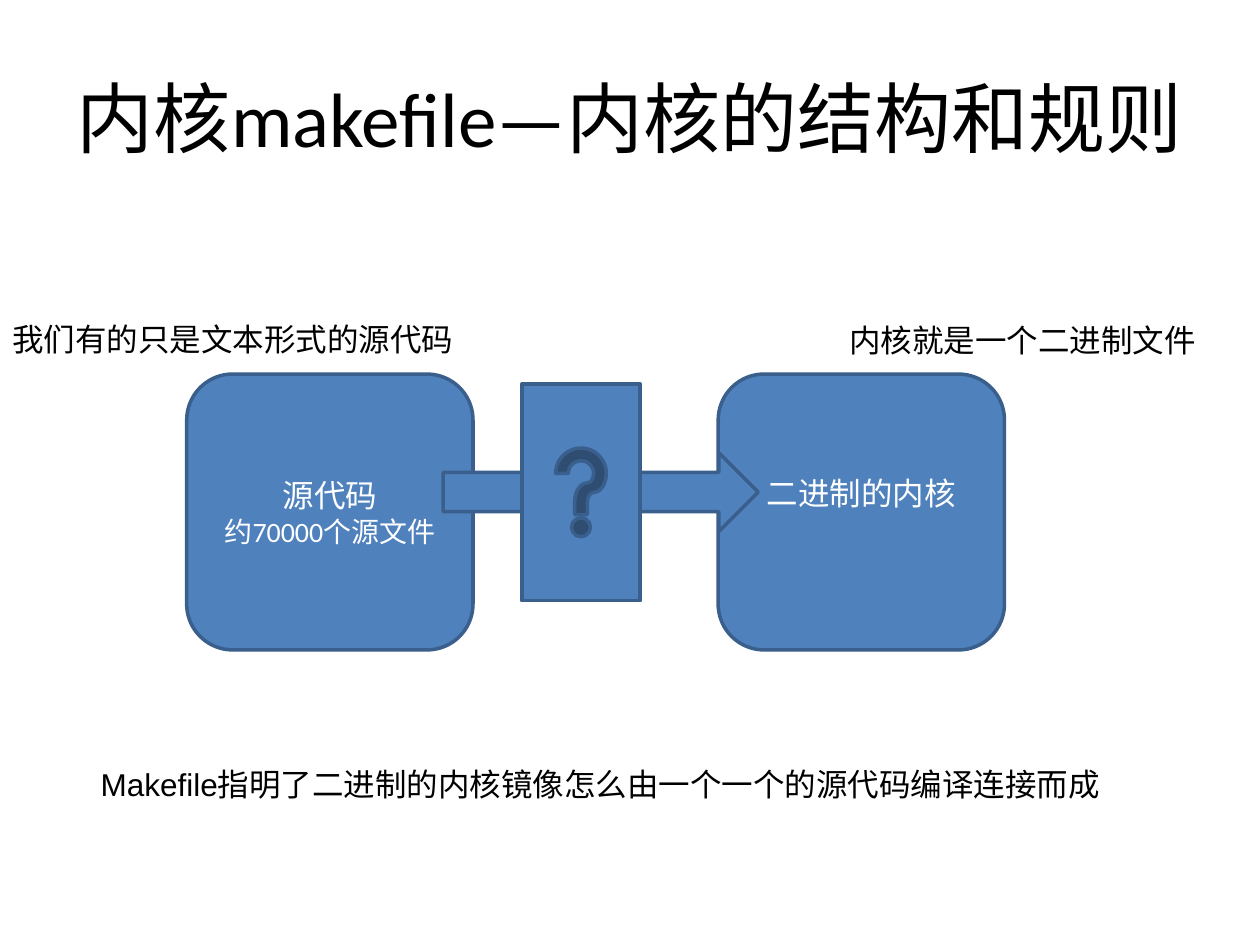
from dataclasses import dataclass

from pptx import Presentation
from pptx.dml.color import RGBColor
from pptx.enum.shapes import MSO_SHAPE
from pptx.enum.text import MSO_ANCHOR, PP_ALIGN
from pptx.util import Pt


@dataclass(frozen=True)
class Theme:
    """Colours, fonts and type sizes of the slide."""
    fill: str = "4F81BD"
    line: str = "3A5F8C"
    dark: str = "000000"
    light: str = "FFFFFF"
    heading_font: str = "Calibri"
    caption_font: str = "Arial"
    title: int = 44
    body: int = 18
    detail: int = 16
    line_width: int = 2


class Deck:
    """Holds the theme and the current slide."""

    def __init__(self, theme, width, height):
        """Start a presentation with one title-only slide."""
        self.theme = theme
        self.prs = Presentation()
        self.prs.slide_width, self.prs.slide_height = Pt(width), Pt(height)
        self.slide = self.prs.slides.add_slide(self.prs.slide_layouts[5])

    def set_lines(self, frame, lines, font, color, align):
        """Fill a text frame with (text, size) lines."""
        for i, (text, size) in enumerate(lines):
            para = frame.add_paragraph() if i else frame.paragraphs[0]
            para.alignment = align
            run = para.add_run()
            run.text = text
            run.font.name, run.font.size = font, Pt(size)
            run.font.color.rgb = RGBColor.from_string(color)

    def title(self, text, left, top, width, height):
        """Place and format the title."""
        box = self.slide.shapes.title
        box.left, box.top, box.width, box.height = map(Pt, (left, top, width, height))
        box.text_frame.vertical_anchor = MSO_ANCHOR.MIDDLE
        self.set_lines(box.text_frame, [(text, self.theme.title)],
                       self.theme.heading_font, self.theme.dark, PP_ALIGN.CENTER)

    def caption(self, text, left, top, width, height=29):
        """Add a one-line caption."""
        box = self.slide.shapes.add_textbox(*map(Pt, (left, top, width, height)))
        box.text_frame.word_wrap = False
        self.set_lines(box.text_frame, [(text, self.theme.body)],
                       self.theme.caption_font, self.theme.dark, PP_ALIGN.LEFT)

    def shape(self, kind, left, top, width, height, lines=(), lift=0):
        """Add a filled shape; lift raises its centred text."""
        shape = self.slide.shapes.add_shape(kind, *map(Pt, (left, top, width, height)))
        shape.shadow.inherit = False
        shape.fill.solid()
        shape.fill.fore_color.rgb = RGBColor.from_string(self.theme.fill)
        shape.line.color.rgb = RGBColor.from_string(self.theme.line)
        shape.line.width = Pt(self.theme.line_width)
        frame = shape.text_frame
        frame.word_wrap = True
        frame.vertical_anchor = MSO_ANCHOR.MIDDLE
        frame.margin_bottom = Pt(3.6 + 2 * lift)
        self.set_lines(frame, lines, self.theme.heading_font,
                       self.theme.light, PP_ALIGN.CENTER)


def build():
    """Build and save the slide."""
    theme = Theme()
    deck = Deck(theme, 720, 540)
    deck.title("内核makefile—内核的结构和规则", 36, 21.6, 648, 90)
    deck.caption("Makefile指明了二进制的内核镜像怎么由一个一个的源代码编译连接而成",
                 50.4, 433.4, 591)
    deck.caption("我们有的只是文本形式的源代码", 0, 179.5, 323)

    block_top, block_width, block_height = 213.8, 163.6, 157.6
    source = [("源代码", theme.body), ("约70000个源文件", theme.detail)]
    kernel = [("二进制的内核", theme.body)]
    for left, lines, lift in ((106.7, source, 0), (410.4, kernel, 11)):
        deck.shape(MSO_SHAPE.ROUNDED_RECTANGLE, left, block_top,
                   block_width, block_height, lines, lift)

    deck.shape(MSO_SHAPE.RIGHT_ARROW, 253.3, 258.7, 180, 45)
    deck.shape(MSO_SHAPE.ACTION_BUTTON_HELP, 298.2, 219.5, 67.6, 123.8)
    deck.caption("内核就是一个二进制文件", 478.2, 180, 214.6)
    deck.prs.save("out.pptx")


build()
